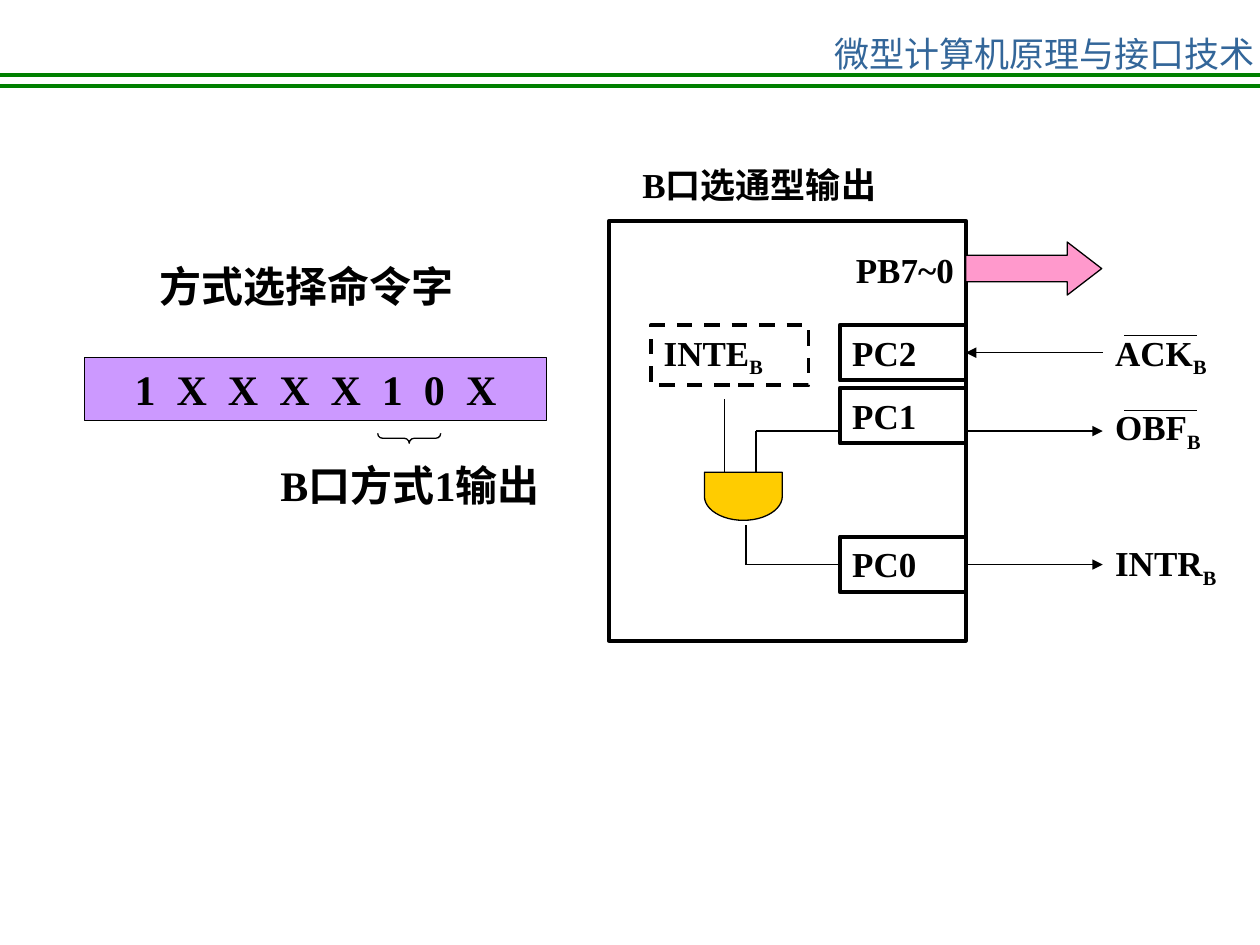
from dataclasses import dataclass
from typing import Optional

from lxml.etree import SubElement
from pptx import Presentation
from pptx.dml.color import RGBColor
from pptx.enum.dml import MSO_LINE
from pptx.enum.shapes import MSO_CONNECTOR, MSO_SHAPE
from pptx.enum.text import MSO_ANCHOR, MSO_AUTO_SIZE, PP_ALIGN
from pptx.oxml.ns import qn
from pptx.util import Cm, Pt


@dataclass(frozen=True)
class Theme:
    ink: str = "000000"
    header: str = "336699"
    rule: str = "008000"
    command: str = "CC99FF"
    gate: str = "FFCC00"
    bus: str = "FF99CC"
    latin: str = "Times New Roman"
    cjk: str = "Noto Sans CJK SC"
    large: int = 24
    normal: int = 20
    thin: float = 0.75
    thick: float = 2.25


@dataclass(frozen=True)
class Box:
    left: float
    top: float
    width: float
    height: float

    @property
    def right(self) -> float:
        return self.left + self.width

    @property
    def middle(self) -> float:
        return self.top + self.height / 2

    def lengths(self) -> list:
        return [Cm(v) for v in (self.left, self.top, self.width, self.height)]


@dataclass(frozen=True)
class Port:
    name: str
    top: float
    signal: str
    signal_top: float
    wire_y: Optional[float] = None  # None: wire leaves from the middle of the side
    incoming: bool = False
    active_low: bool = False


THEME = Theme()
TOP, LEFT, BOTTOM, RIGHT = range(4)

prs = Presentation()
prs.slide_width, prs.slide_height = Cm(25.4), Cm(19.05)
slide = prs.slides.add_slide(prs.slide_layouts[6])


def add_run(paragraph, text: str, size: int, color: str = THEME.ink,
            latin: str = THEME.latin, bold: bool = True):
    run = paragraph.add_run()
    run.text = text
    run.font.size, run.font.bold, run.font.name = Pt(size), bold, latin
    run.font.color.rgb = RGBColor.from_string(color)
    SubElement(run.font._element, qn("a:ea")).set("typeface", THEME.cjk)
    return run


def prepare_text(shape, align=PP_ALIGN.LEFT):
    frame = shape.text_frame
    frame.word_wrap = True
    frame.auto_size = MSO_AUTO_SIZE.SHAPE_TO_FIT_TEXT
    frame.vertical_anchor = MSO_ANCHOR.TOP
    paragraph = frame.paragraphs[0]
    paragraph.alignment = align
    return paragraph


def add_label(box: Box, text: str, size: int = THEME.normal, align=PP_ALIGN.LEFT) -> None:
    add_run(prepare_text(slide.shapes.add_textbox(*box.lengths()), align), text, size)


def add_subscripted(paragraph, text: str, subscript: str = "B") -> None:
    add_run(paragraph, text, THEME.normal)
    add_run(paragraph, subscript, THEME.normal).font._element.set("baseline", "-25000")


def add_block(kind, box: Box, fill: Optional[str] = None, weight: float = THEME.thin,
              rotation: int = 0):
    block = slide.shapes.add_shape(kind, *box.lengths())
    block.shadow.inherit = False
    block.rotation = rotation
    if fill:
        block.fill.solid()
        block.fill.fore_color.rgb = RGBColor.from_string(fill)
    else:
        block.fill.background()
    block.line.color.rgb = RGBColor.from_string(THEME.ink)
    block.line.width = Pt(weight)
    return block


def add_wire(x1: float, y1: float, x2: float, y2: float, arrow: bool = False,
             color: str = THEME.ink, weight: float = THEME.thin):
    wire = slide.shapes.add_connector(MSO_CONNECTOR.STRAIGHT, Cm(x1), Cm(y1), Cm(x2), Cm(y2))
    wire.line.color.rgb = RGBColor.from_string(color)
    wire.line.width = Pt(weight)
    if arrow:
        SubElement(wire.line._get_or_add_ln(), qn("a:tailEnd")).set("type", "triangle")
    SubElement(wire._element.spPr, qn("a:effectLst"))
    return wire


# Page header
for rule_start, rule_y, rule_weight in (
    (1.5, 1.73, THEME.thin), (1.45, 1.52, THEME.thin),
    (0, 1.73, THEME.thick), (0, 1.52, THEME.thick),
):
    add_wire(rule_start, rule_y, 25.4, rule_y, color=THEME.rule, weight=rule_weight)

course = slide.shapes.add_textbox(*Box(16.74, 0.53, 8.64, 0.61).lengths())
course.text_frame.word_wrap = False
course.text_frame.margin_left = course.text_frame.margin_right = Cm(0)
course_line = course.text_frame.paragraphs[0]
course_line.alignment = PP_ALIGN.CENTER
course_run = add_run(course_line, "微型计算机原理与接口技术", THEME.normal,
                     THEME.header, THEME.cjk, bold=False)
outline = course_run.font._element.makeelement(qn("a:ln"), {"w": str(Pt(THEME.thin))})
outline_fill = SubElement(outline, qn("a:solidFill"))
SubElement(outline_fill, qn("a:srgbClr")).set("val", THEME.header)
course_run.font._element.insert(0, outline)

# Mode command word, its bits set apart by widened spaces
command = add_block(MSO_SHAPE.RECTANGLE, Box(1.7, 7.21, 9.32, 1.27), THEME.command)
bits = prepare_text(command, PP_ALIGN.CENTER)
for position, bit in enumerate("1XXXX10X"):
    if position:
        add_run(bits, " ", THEME.large).font._element.set("spc", "600")
    add_run(bits, bit, THEME.large)
brace = add_block(MSO_SHAPE.LEFT_BRACE, Box(8.15, 8.2, 0.2, 1.27), rotation=270)
brace.adjustments[0] = 0.5
add_label(Box(4.67, 9.14, 7.19, 1.27), "B口方式1输出", THEME.large, PP_ALIGN.CENTER)
add_label(Box(2.97, 5.13, 7.19, 1.27), "方式选择命令字", THEME.large)

# Chip outline, title and data bus
chip = Box(12.28, 4.45, 7.19, 8.47)
signal_x = 22.23
add_block(MSO_SHAPE.RECTANGLE, chip, weight=THEME.thick)
add_label(Box(12.7, 3.18, 7.19, 1.12), "B口选通型输出")
add_label(Box(15.24, 4.88, 4.24, 1.12), "PB7~0", align=PP_ALIGN.RIGHT)
bus = add_block(MSO_SHAPE.RIGHT_ARROW, Box(chip.right, 4.88, 2.74, 1.07), THEME.bus)
bus.adjustments[0], bus.adjustments[1] = 0.5, 0.65

# Port pins with their signals
ports = (
    Port("PC2", 6.55, "ACK", 6.55, incoming=True, active_low=True),
    Port("PC1", 7.82, "OBF", 8.05, wire_y=8.69, active_low=True),
    Port("PC0", 10.82, "INTR", 10.8),
)
pins = {}
for port in ports:
    pin_box = Box(16.93, port.top, 2.54, 1.12)
    pin = add_block(MSO_SHAPE.RECTANGLE, pin_box, weight=THEME.thick)
    add_run(prepare_text(pin), port.name, THEME.normal)
    pins[port.name] = pin, pin_box

    y = port.wire_y or pin_box.middle
    start, end = (signal_x, pin_box.right) if port.incoming else (pin_box.right, signal_x)
    signal_wire = add_wire(start, y, end, y, arrow=True)
    if port.wire_y is None:
        join = signal_wire.end_connect if port.incoming else signal_wire.begin_connect
        join(pin, RIGHT)

    signal_box = Box(signal_x, port.signal_top, 3.17, 1.22)
    add_subscripted(prepare_text(slide.shapes.add_textbox(*signal_box.lengths())), port.signal)
    if port.active_low:
        bar_y = port.signal_top + 0.22
        add_wire(22.66, bar_y, 24.13, bar_y)

# Interrupt enable and AND gate
enable = add_block(MSO_SHAPE.RECTANGLE, Box(13.13, 6.55, 3.17, 1.22), weight=THEME.thick)
enable.line.dash_style = MSO_LINE.DASH
add_subscripted(prepare_text(enable), "INTE")
add_block(MSO_SHAPE.FLOWCHART_DELAY, Box(14.5, 9.22, 0.97, 1.57), THEME.gate, rotation=90)

gate_top, buffer_y = 9.53, 8.69
add_wire(14.61, 8.05, 14.61, gate_top)
add_wire(15.24, buffer_y, 15.24, gate_top)
add_wire(15.24, buffer_y, 16.93, buffer_y)
request_pin, request_box = pins["PC0"]
add_wire(15.04, 10.59, 15.04, request_box.middle)
request_wire = add_wire(15.04, request_box.middle, request_box.left, request_box.middle)
request_wire.end_connect(request_pin, LEFT)

prs.save("out.pptx")
